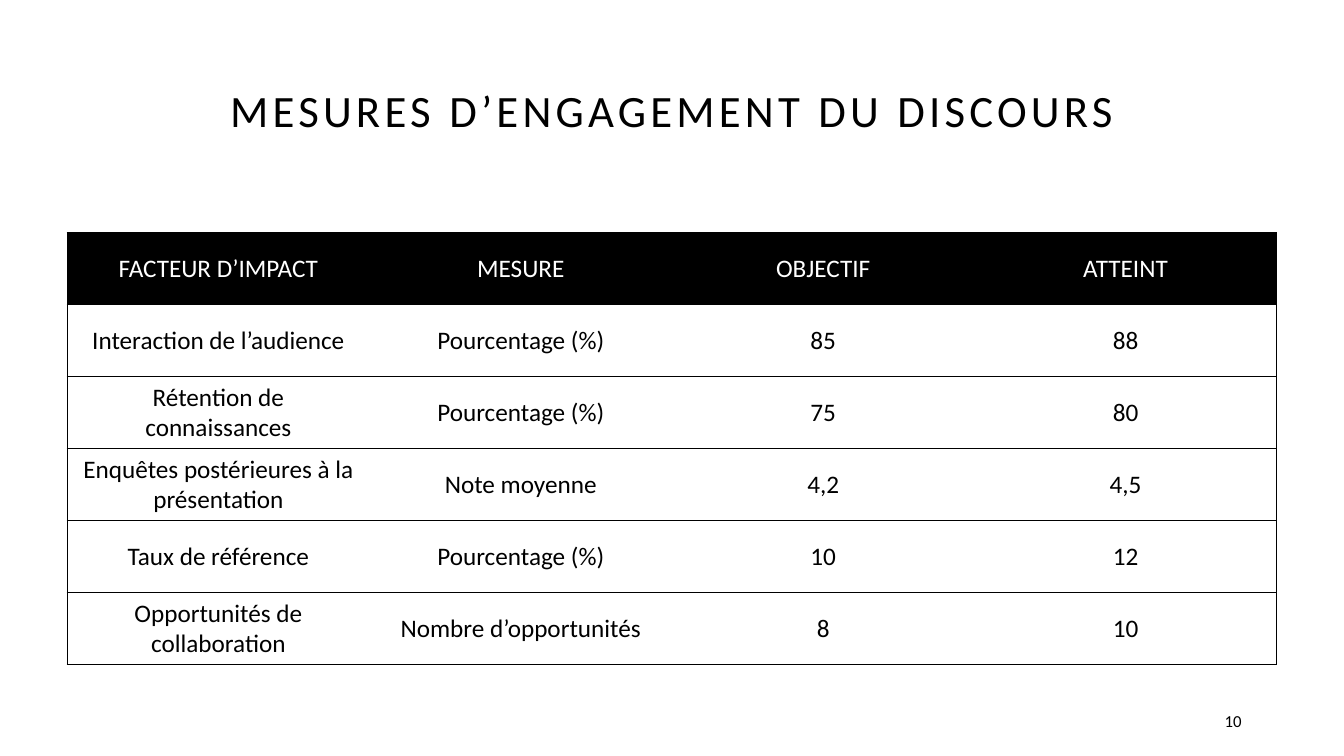
import dataclasses

import pptx
import pptx.dml.color
import pptx.enum.text
import pptx.oxml
import pptx.oxml.ns
import pptx.util

Pt = pptx.util.Pt
Align = pptx.enum.text.PP_ALIGN
Anchor = pptx.enum.text.MSO_ANCHOR


@dataclasses.dataclass(frozen=True)
class Theme:
    font: str = "Calibri"
    ink: str = "000000"
    paper: str = "FFFFFF"
    title: float = 32
    body: float = 18
    small: float = 12
    rule: float = 1


class Deck:
    def __init__(self, theme, wide, high):
        self.theme = theme
        self.file = pptx.Presentation()
        self.apply(self.file, {"slide_width": Pt(wide), "slide_height": Pt(high)})
        self.slide = self.file.slides.add_slide(self.file.slide_layouts[6])
        self.paint(self.slide.background.fill, theme.paper)

    def apply(self, item, form):
        for name, value in form.items():
            setattr(item, name, value)

    def paint(self, fill, tone):
        fill.solid()
        fill.fore_color.rgb = pptx.dml.color.RGBColor.from_string(tone)

    def label(self, frame, text, size, tone, align, space=0, lead=None):
        para = frame.paragraphs[0]
        self.apply(para, {"alignment": align, "line_spacing": lead})
        run = para.add_run()
        run.text = text
        form = {"name": self.theme.font, "size": Pt(size), "bold": False}
        self.apply(run.font, form)
        self.paint(run.font.fill, tone)
        if space:
            run.font._element.set("spc", str(space * 100))

    def text(self, box, text, size, align, **style):
        frame = self.slide.shapes.add_textbox(*map(Pt, box)).text_frame
        self.apply(frame, {"word_wrap": True, "vertical_anchor": Anchor.MIDDLE})
        self.label(frame, text, size, self.theme.ink, align, **style)

    def border(self, cell, sides):
        props = cell._tc.get_or_add_tcPr()
        for side in "LRTB":
            tone = f'<a:solidFill><a:srgbClr val="{self.theme.ink}"/></a:solidFill>'
            fill = tone if side in sides else "<a:noFill/>"
            props.append(pptx.oxml.parse_xml(
                f'<a:ln{side} {pptx.oxml.ns.nsdecls("a")} '
                f'w="{Pt(self.theme.rule)}">{fill}</a:ln{side}>'))

    def table(self, box, rows):
        count, width = len(rows), len(rows[0])
        grid = self.slide.shapes.add_table(count, width, *map(Pt, box)).table
        self.apply(grid, {"first_row": True, "horz_banding": False})
        for col in grid.columns:
            col.width = Pt(box[2] / width)
        for line in grid.rows:
            line.height = Pt(box[3] / count)
        for i, row in enumerate(rows):
            tone, back = self.theme.ink, self.theme.paper
            if i == 0:
                tone, back = back, tone
            for j, text in enumerate(row):
                cell = grid.cell(i, j)
                cell.vertical_anchor = Anchor.MIDDLE
                ends = {0: "L", width - 1: "R"}
                self.border(cell, "TB" + ends.get(j, ""))
                self.paint(cell.fill, back)
                self.label(cell.text_frame, text, self.theme.body, tone, Align.CENTER)


def main():
    theme = Theme()
    deck = Deck(theme, 960, 540)
    deck.text((66, 28.8, 828, 104.4), "MESURES D’ENGAGEMENT DU DISCOURS",
              theme.title, Align.CENTER, space=3, lead=0.9)
    deck.table((48, 166.2, 864, 308.7), [
        ("FACTEUR D’IMPACT", "MESURE", "OBJECTIF", "ATTEINT"),
        ("Interaction de l’audience", "Pourcentage (%)", "85", "88"),
        ("Rétention de connaissances", "Pourcentage (%)", "75", "80"),
        ("Enquêtes postérieures à la présentation", "Note moyenne", "4,2", "4,5"),
        ("Taux de référence", "Pourcentage (%)", "10", "12"),
        ("Opportunités de collaboration", "Nombre d’opportunités", "8", "10"),
    ])
    deck.text((678, 500.4, 216, 28.8), "10", theme.small, Align.RIGHT)
    deck.file.save("out.pptx")


if __name__ == "__main__":
    main()
